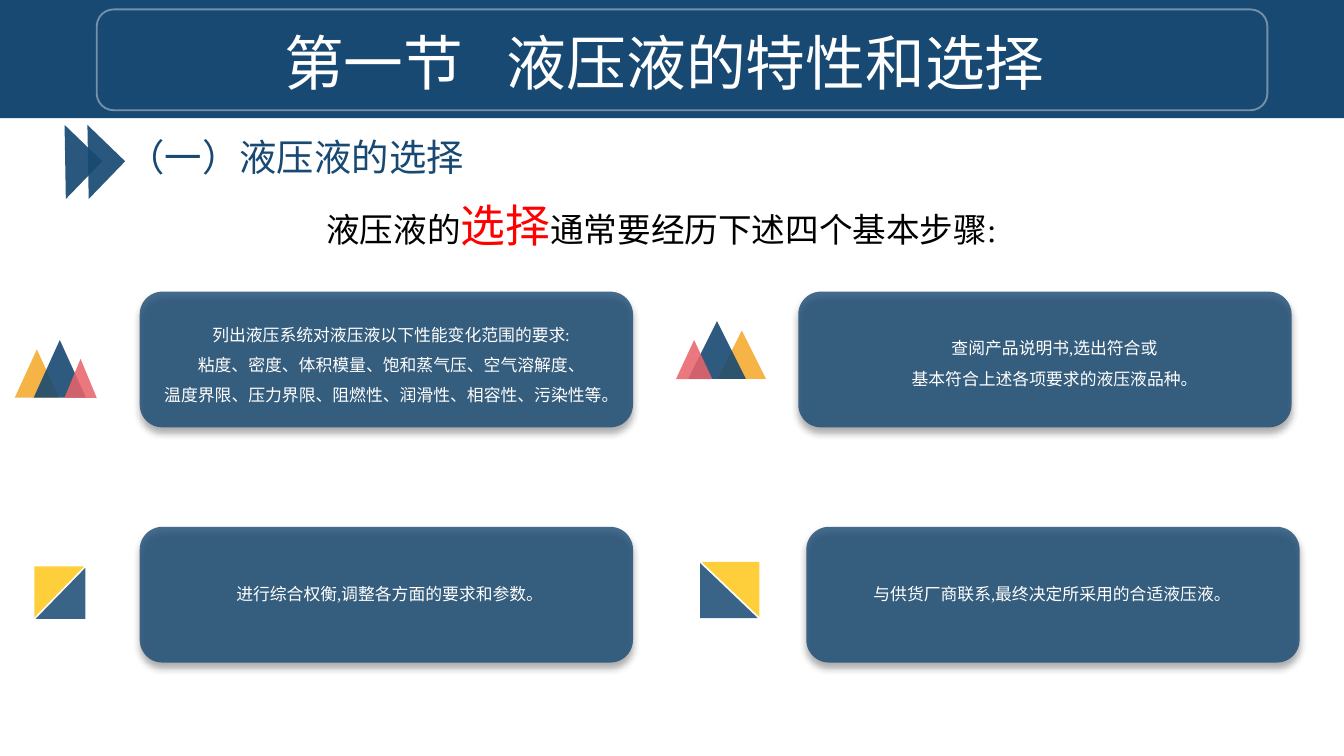
from lxml import etree
from pptx import Presentation
from pptx.dml.color import RGBColor
from pptx.enum.shapes import MSO_SHAPE
from pptx.enum.text import MSO_ANCHOR, PP_ALIGN
from pptx.oxml import parse_xml
from pptx.oxml.ns import nsdecls, qn
from pptx.util import Inches, Pt

FONT = "Times New Roman"
NAVY, WHITE, BLACK, RED = "184972", "FFFFFF", "000000", "FF0000"
ORANGE, PINK, YELLOW = "F49F14", "E8646B", "FFC000"

TITLE = ["第一节", " ", "液压液的特性和选择"]
TITLE_GAP = 16  # points added to the space between the title's parts
SUBTITLE = [[("（一）液压液的选择", 20, NAVY)]]
LEAD = [[("液压液的", 18, BLACK), ("选择", 24, RED),
         ("通常要经历下述四个基本步骤:", 18, BLACK)]]

CARD_W, CARD_H = 3.67, 1.01
# Card corner, text box, lines of text
STEPS = [
    ((1.04, 2.17), (0.98, 2.29, 3.86, 0.78),
     ["列出液压系统对液压液以下性能变化范围的要求:",
      "粘度、密度、体积模量、饱和蒸气压、空气溶解度、",
      "温度界限、压力界限、阻燃性、润滑性、相容性、污染性等。"]),
    ((5.94, 2.17), (6.67, 2.39, 2.35, 0.53),
     ["查阅产品说明书,选出符合或", "基本符合上述各项要求的液压液品种。"]),
    ((1.04, 3.92), (1.66, 4.29, 2.5, 0.25),
     ["进行综合权衡,调整各方面的要求和参数。"]),
    ((6, 3.92), (6.4, 4.29, 2.88, 0.25),
     ["与供货厂商联系,最终决定所采用的合适液压液。"]),
]

# Peaks stand on a common base line: left, width, height, colour, opacity
PEAKS = [
    (2.96, [(0.11, 0.33, 0.36, ORANGE, 78), (0.25, 0.39, 0.43, NAVY, 90),
            (0.48, 0.24, 0.29, PINK, 87)]),
    (2.82, [(5.34, 0.36, 0.36, ORANGE, 78), (5.12, 0.43, 0.43, NAVY, 90),
            (5.03, 0.27, 0.29, PINK, 87)]),
]
# Squares split along a diagonal: box of the navy half, its rotation
SPLITS = [((0.26, 4.23, 0.38, 0.37), 270), ((5.21, 4.19, 0.43, 0.41), 0)]
ARROW_LEFTS = (0.29, 0.46)


def rgb(color):
    return RGBColor.from_string(color)


def set_alpha(fill_format, percent):
    """Make a solid fill or line fill partly transparent."""
    clr = fill_format._xPr.find(f".//{qn('a:srgbClr')}")
    etree.SubElement(clr, qn("a:alpha")).set("val", str(percent * 1000))


def add_shape(s, kind, box, color=None, alpha=100, rotation=0):
    sp = s.shapes.add_shape(kind, *map(Inches, box))
    sp.shadow.inherit = False
    sp.rotation = rotation
    sp.line.fill.background()
    if color is None:
        sp.fill.background()
    else:
        sp.fill.solid()
        sp.fill.fore_color.rgb = rgb(color)
        if alpha < 100:
            set_alpha(sp.fill, alpha)
    return sp


def add_drop_shadow(sp):
    old = sp._element.spPr.find(qn("a:effectLst"))
    new = parse_xml(
        f'<a:effectLst {nsdecls("a")}>'
        f'<a:outerShdw blurRad="{Pt(4)}" dist="{Pt(3)}" dir="5400000" '
        'algn="t" rotWithShape="0">'
        '<a:srgbClr val="000000"><a:alpha val="40000"/></a:srgbClr>'
        '</a:outerShdw></a:effectLst>')
    old.getparent().replace(old, new)


def add_run(p, text, size, color):
    r = p.add_run()
    r.text = text
    r.font.name = FONT
    r.font.size = Pt(size)
    r.font.color.rgb = rgb(color)
    return r


def add_text(s, box, lines, align=PP_ALIGN.LEFT, spacing=None, wrap=False):
    """Add lines of text, each a list of (text, size, colour) runs."""
    tf = s.shapes.add_textbox(*map(Inches, box)).text_frame
    tf.word_wrap = wrap
    for i, line in enumerate(lines):
        p = tf.add_paragraph() if i else tf.paragraphs[0]
        p.alignment = align
        p.line_spacing = spacing
        for text, size, color in line:
            add_run(p, text, size, color)


def add_icons(s):
    for base, peaks in PEAKS:
        for left, w, h, color, alpha in peaks:
            add_shape(s, MSO_SHAPE.ISOSCELES_TRIANGLE,
                      (left, base - h, w, h), color, alpha)
    for (x, y, w, h), turn in SPLITS:
        shift = 0.01 if turn == 0 else -0.01
        for dx, dy, color, alpha, angle in (
                (0, 0, NAVY, 85, turn),
                (shift, -0.01, YELLOW, 77, (turn + 180) % 360)):
            half = add_shape(s, MSO_SHAPE.ISOSCELES_TRIANGLE,
                             (x + dx, y + dy, w, h), color, alpha, angle)
            half.adjustments[0] = 0


def add_title(s):
    add_shape(s, MSO_SHAPE.RECTANGLE, (0, 0, 10, 0.88), NAVY)
    frame = add_shape(s, MSO_SHAPE.ROUNDED_RECTANGLE, (0.72, 0.07, 8.71, 0.75))
    frame.line.color.rgb = rgb(WHITE)
    frame.line.width = Pt(1)
    set_alpha(frame.line.fill, 40)

    title = s.shapes.title
    title.left, title.top, title.width, title.height = map(
        Inches, (0.77, 0.14, 8.35, 0.64))
    tf = title.text_frame
    tf.vertical_anchor = MSO_ANCHOR.MIDDLE
    p = tf.paragraphs[0]
    p.alignment = PP_ALIGN.CENTER
    for text in TITLE:
        r = add_run(p, text, 32, WHITE)
        if text == " ":
            r.font._element.set("spc", str(TITLE_GAP * 100))
    s.shapes._spTree.append(title._element)  # bring in front of the banner


def main():
    prs = Presentation()
    prs.slide_width = Inches(10)
    prs.slide_height = prs.slide_width * 9 // 16
    s = prs.slides.add_slide(prs.slide_layouts[5])

    add_title(s)
    for left in ARROW_LEFTS:
        add_shape(s, MSO_SHAPE.RIGHT_TRIANGLE, (left, 1.01, 0.39, 0.39),
                  NAVY, 92, 224)
    add_text(s, (0.82, 0.95, 2.76, 0.44), SUBTITLE, PP_ALIGN.CENTER, wrap=True)
    add_text(s, (2.33, 1.42, 5.23, 0.5), LEAD)

    add_icons(s)
    for corner, text_box, lines in STEPS:
        card = add_shape(s, MSO_SHAPE.ROUNDED_RECTANGLE,
                         (*corner, CARD_W, CARD_H), NAVY, 80)
        add_drop_shadow(card)
        several = len(lines) > 1
        add_text(s, text_box, [[(line, 9, WHITE)] for line in lines],
                 PP_ALIGN.CENTER if several else PP_ALIGN.LEFT,
                 1.5 if several else None)
    prs.save("out.pptx")


if __name__ == "__main__":
    main()
